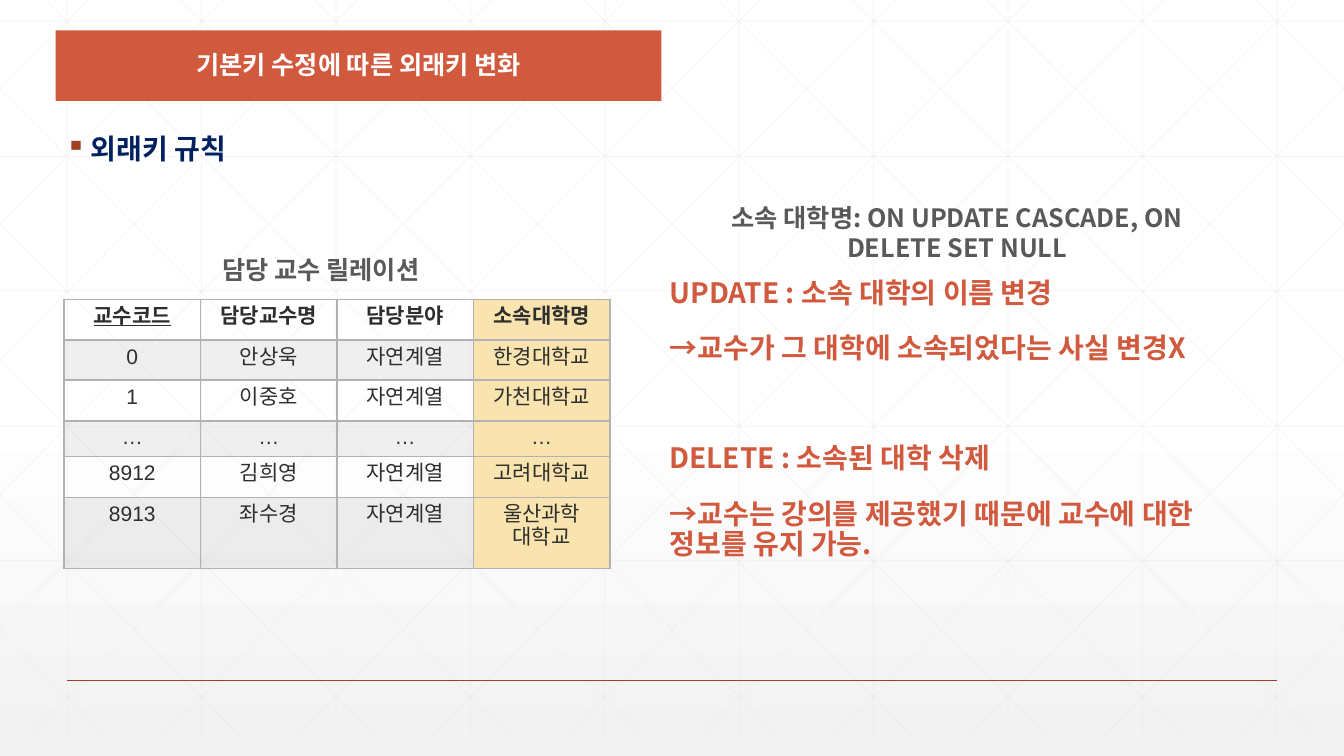
"""Build the slide on how foreign keys react to primary key changes."""
from lxml.etree import SubElement
from pptx import Presentation
from pptx.dml.color import RGBColor
from pptx.enum.shapes import MSO_CONNECTOR, MSO_SHAPE
from pptx.enum.text import MSO_ANCHOR, MSO_AUTO_SIZE, PP_ALIGN
from pptx.oxml.ns import qn
from pptx.util import Pt

PX = 9525
WIDE, HIGH = 1280, 720
TOP, LOW, STEP = -20, 700, 128
SANS, ARIAL = "Noto Sans CJK KR", "Arial"
HUES = {
    "white": "FFFFFF", "mist": "F2F2F2", "grid": "D9D9D9", "rust": "A43F27",
    "coral": "D15A3E", "grey": "595959", "navy": "002060", "ink": "2D2E2D",
    "edge": "B2B2B2", "gold": "F9E3AE",
}


def style(para, size, hue, font=SANS, bold=True, align=PP_ALIGN.CENTER):
    para.alignment = align
    for run in para.runs:
        run.font.size = Pt(size)
        run.font.bold = bold
        run.font.color.rgb = RGBColor.from_string(HUES[hue])
        run.font.name = font
        SubElement(run.font._element, qn("a:ea"), typeface=font)


def rule(x1, y1, x2, y2, hue, width):
    line = slide.shapes.add_connector(
        MSO_CONNECTOR.STRAIGHT, *(round(v) * PX for v in (x1, y1, x2, y2)))
    line.line.width = Pt(width)
    line.line.color.rgb = RGBColor.from_string(HUES[hue])
    SubElement(line._element.spPr, qn("a:effectLst"))
    return line


deck = Presentation()
deck.slide_width, deck.slide_height = WIDE * PX, HIGH * PX
slide = deck.slides.add_slide(deck.slide_layouts[1])
tree = slide.shapes._spTree

back = slide.background.fill
back.gradient()
back.gradient_angle = 270
stops = slide._element.find(".//" + qn("a:gsLst"))
for stop in list(stops):
    stops.remove(stop)
for place, hue, alpha in ((0, "white", 100), (53, "white", 100), (100, "mist", 65)):
    stop = SubElement(stops, qn("a:gs"), pos=str(place * 1000))
    tone = SubElement(stop, qn("a:srgbClr"), val=HUES[hue])
    SubElement(tone, qn("a:alpha"), val=str(alpha * 1000))

paths = [(64 + STEP * i, TOP, 64 + STEP * i, LOW) for i in range(10)]
paths += [(0, 20 + 128.6 * i, WIDE, 20 + 128.6 * i) for i in range(6)]
lean = 716
for i in range(-5, 10):
    start = 24 + STEP * i
    x1, x2 = max(start, 0), min(start + lean, WIDE)
    y1, y2 = (TOP + (x - start) * (LOW - TOP) / lean for x in (x1, x2))
    paths += [(x1, y1, x2, y2), (WIDE - x1, y1, WIDE - x2, y2)]
for ends in paths:
    mesh = rule(*ends, "grid", 0.5)
    tone = mesh._element.spPr.find(".//" + qn("a:srgbClr"))
    SubElement(tone, qn("a:alpha"), val="25000")
rule(64, 648, 1216, 648, "rust", 1)

band = slide.shapes.add_shape(
    MSO_SHAPE.RECTANGLE, 53 * PX, 29 * PX, 577 * PX, 67 * PX)
band.shadow.inherit = False
band.fill.solid()
band.fill.fore_color.rgb = RGBColor.from_string(HUES["coral"])
band.line.fill.background()

title, body = slide.shapes.title, slide.placeholders[1]
for holder in (title, body):
    tree.append(holder._element)
title.text_frame.text = "기본키 수정에 따른 외래키 변화"
style(title.text_frame.paragraphs[0], 18, "white")

notes = [
    ("담당 교수 릴레이션", 98, 237, 415, 37, 18, "grey"),
    ("소속 대학명: ON UPDATE CASCADE, ON DELETE SET NULL", 640, 188, 543, 66, 18, "grey"),
    ("외래키 규칙", 53, 124, 1161, 39, 20, "navy"),
]
for text, x, y, w, h, size, hue in notes:
    box = slide.shapes.add_textbox(x * PX, y * PX, w * PX, h * PX)
    box.text_frame.word_wrap = True
    box.text_frame.text = text
    para = box.text_frame.paragraphs[0]
    if hue == "navy":
        props = para._p.get_or_add_pPr()
        props.set("marL", str(24 * PX))
        props.set("indent", str(-24 * PX))
        tint = SubElement(props, qn("a:buClr"))
        SubElement(tint, qn("a:srgbClr"), val=HUES["rust"])
        SubElement(props, qn("a:buChar"), char="▪")
        para.line_spacing = 0.9
        style(para, size, hue, align=PP_ALIGN.LEFT)
    else:
        style(para, size, hue)

points = [
    ("UPDATE : 소속 대학의 이름 변경", 0),
    ("→교수가 그 대학에 소속되었다는 사실 변경X", 18),
    ("DELETE : 소속된 대학 삭제", 57),
    ("→교수는 강의를 제공했기 때문에 교수에 대한 정보를 유지 가능.", 18),
]
for holder, spot in ((title, (53, 43, 577, 37)), (body, (628, 261, 591, 330))):
    holder.left, holder.top, holder.width, holder.height = (v * PX for v in spot)
    holder.text_frame.auto_size = MSO_AUTO_SIZE.NONE
    holder.text_frame.word_wrap = True
title.text_frame.vertical_anchor = MSO_ANCHOR.MIDDLE
body.text_frame.vertical_anchor = MSO_ANCHOR.TOP
body.text_frame.text = "\n".join(text for text, gap in points)
for para, (text, gap) in zip(body.text_frame.paragraphs, points):
    props = para._p.get_or_add_pPr()
    props.set("marL", "0")
    props.set("indent", "0")
    SubElement(props, qn("a:buNone"))
    para.line_spacing = 0.9
    para.space_before = Pt(gap)
    style(para, 20, "coral", align=PP_ALIGN.LEFT)

rows = [
    ("교수코드", "담당교수명", "담당분야", "소속대학명"),
    ("0", "안상욱", "자연계열", "한경대학교"),
    ("1", "이중호", "자연계열", "가천대학교"),
    ("…", "…", "…", "…"),
    ("8912", "김희영", "자연계열", "고려대학교"),
    ("8913", "좌수경", "자연계열", "울산과학 대학교"),
]
talls = (39, 38, 39, 32, 39, 68)
frame = slide.shapes.add_table(
    len(rows), 4, 61 * PX, 285 * PX, 520 * PX, sum(talls) * PX)
table = frame.table
table.first_row = table.horz_banding = False
for col in table.columns:
    col.width = 130 * PX
for r, (row, tall) in enumerate(zip(rows, talls)):
    table.rows[r].height = tall * PX
    for c, text in enumerate(row):
        cell = table.cell(r, c)
        cell.text_frame.text = text
        para = cell.text_frame.paragraphs[0]
        style(para, 15, "ink", ARIAL, r == 0)
        if r == c == 0:
            para.runs[0].font.underline = True
        props = cell._tc.get_or_add_tcPr()
        for side in ("L", "R", "T", "B"):
            thick = 2 if (r, side) in ((0, "B"), (1, "T")) else 1
            edge = SubElement(props, qn("a:ln" + side), w=str(Pt(thick)))
            ink = SubElement(edge, qn("a:solidFill"))
            SubElement(ink, qn("a:srgbClr"), val=HUES["edge"])
        if c < 3 and r % 2 == 0:
            cell.fill.background()
            continue
        cell.fill.solid()
        cell.fill.fore_color.rgb = RGBColor.from_string(HUES["gold" if c == 3 else "edge"])
        if c < 3:
            tone = props.find(qn("a:solidFill")).find(qn("a:srgbClr"))
            SubElement(tone, qn("a:alpha"), val="20000")

deck.save("out.pptx")
